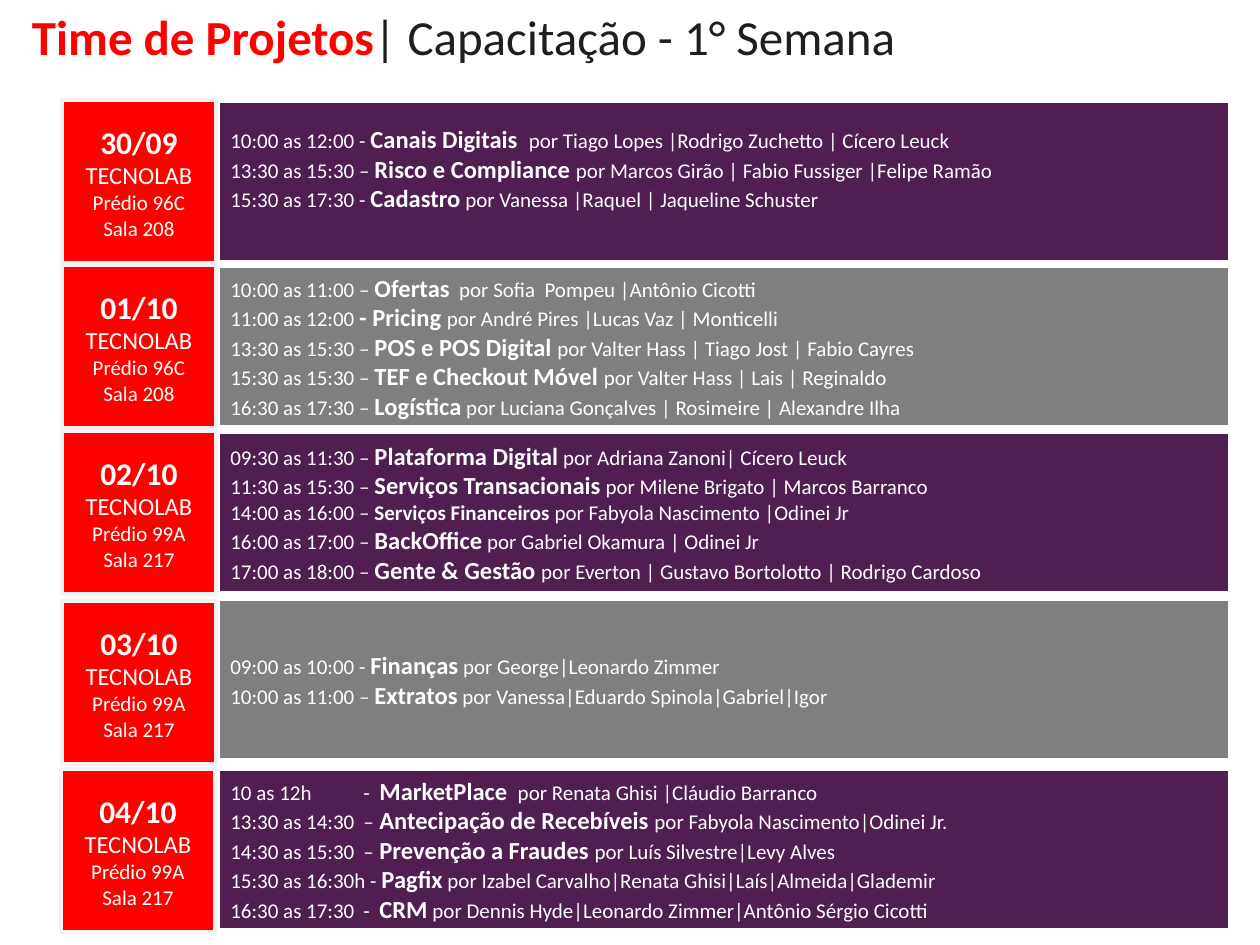
from lxml import etree
from pptx import Presentation
from pptx.dml.color import RGBColor
from pptx.enum import shapes, text
from pptx.oxml.ns import qn
from pptx.util import Emu, Pt

PX = 914400 // 126
FONT = "Calibri"
COLORS = {
    "red": "FF0000",
    "ink": "1E1E1E",
    "white": "FFFFFF",
    "purple": "501E50",
    "gray": "7F7F7F",
    "edge": "F2F2F2",
}
TAB_STOPS = (133, 149)
CARD_W, CARD_H = 154, 163
PANEL_DX = 156
BLANK_LINE = 26

ROOM_A = ("Prédio 96C", "Sala 208")
ROOM_B = ("Prédio 99A", "Sala 217")

DAYS = [
    dict(date="30/09", room=ROOM_A, top=101, card_shift=(0, -1), bottom=BLANK_LINE, talks=[
        ("10:00 as 12:00 - ", "Canais Digitais  ", "por Tiago Lopes |Rodrigo Zuchetto | Cícero Leuck"),
        ("13:30 as 15:30 – ", "Risco e Compliance ", "por Marcos Girão | Fabio Fussiger |Felipe Ramão"),
        ("15:30 as 17:30 - ", "Cadastro", " por Vanessa |Raquel | Jaqueline Schuster"),
    ]),
    dict(date="01/10", room=ROOM_A, top=266, card_shift=(0, -1), bottom=0, talks=[
        ("10:00 as 11:00 – ", "Ofertas", "  por Sofia  Pompeu |Antônio Cicotti"),
        ("11:00 as 12:00 ", "- Pricing ", "por André Pires |Lucas Vaz | Monticelli"),
        ("13:30 as 15:30 – ", "POS e POS Digital ", "por Valter Hass | Tiago Jost | Fabio Cayres"),
        ("15:30 as 15:30 – ", "TEF e Checkout Móvel ", "por Valter Hass | Lais | Reginaldo"),
        ("16:30 as 17:30 – ", "Logística", " por Luciana Gonçalves | Rosimeire | Alexandre Ilha"),
    ]),
    dict(date="02/10", room=ROOM_B, top=432, card_shift=(0, -1), bottom=0, talks=[
        ("09:30 as 11:30 – ", "Plataforma Digital", " por Adriana Zanoni| Cícero Leuck"),
        ("11:30 as 15:30 – ", "Serviços Transacionais", " por Milene Brigato | Marcos Barranco"),
        ("14:00 as 16:00 – ", "Serviços Financeiros ", "por Fabyola Nascimento |Odinei Jr", 12),
        ("16:00 as 17:00 – ", "BackOffice", " por Gabriel Okamura | Odinei Jr"),
        ("17:00 as 18:00 – ", "Gente & Gestão ", "por Everton | Gustavo Bortolotto | Rodrigo Cardoso"),
    ]),
    dict(date="03/10", room=ROOM_B, top=599, card_shift=(0, 2), bottom=0, talks=[
        ("09:00 as 10:00 - ", "Finanças", " por George|Leonardo Zimmer"),
        ("10:00 as 11:00 – ", "Extratos", " por Vanessa|Eduardo Spinola|Gabriel|Igor"),
    ]),
    dict(date="04/10", room=ROOM_B, top=769, card_shift=(-1, 0), bottom=0, talks=[
        ("10 as 12h\t-\t", "MarketPlace ", " por Renata Ghisi |Cláudio Barranco"),
        ("13:30 as 14:30\t–\t", "Antecipação de Recebíveis ", "por Fabyola Nascimento|Odinei Jr."),
        ("14:30 as 15:30\t–\t", "Prevenção a Fraudes ", "por Luís Silvestre|Levy Alves"),
        ("15:30 as 16:30h - ", "Pagfix", " por Izabel Carvalho|Renata Ghisi|Laís|Almeida|Glademir"),
        ("16:30 as 17:30\t-\t", "CRM", " por Dennis Hyde|Leonardo Zimmer|Antônio Sérgio Cicotti"),
    ]),
]


def px(*values):
    return [Emu(v * PX) for v in values]


def set_color(fill, name):
    fill.solid()
    fill.fore_color.rgb = RGBColor.from_string(COLORS[name])


def add_run(p, words, size, color="white", bold=False):
    r = p.add_run()
    r.text = words
    r.font.name = FONT
    r.font.size = Pt(size)
    r.font.bold = bold
    set_color(r.font.fill, color)


def paragraphs(tf, count, align):
    for i in range(count):
        p = tf.add_paragraph() if i else tf.paragraphs[0]
        p.alignment = align
        yield p


def add_block(slide, box, fill, edge):
    sp = slide.shapes.add_shape(shapes.MSO_SHAPE.RECTANGLE, *px(*box))
    sp.shadow.inherit = False
    set_color(sp.fill, fill)
    set_color(sp.line.fill, edge)
    sp.line.width = Pt(2)
    tf = sp.text_frame
    tf.word_wrap = True
    tf.vertical_anchor = text.MSO_ANCHOR.MIDDLE
    return tf


def add_tab_stops(p):
    tabs = etree.SubElement(p._p.get_or_add_pPr(), qn("a:tabLst"))
    for stop in TAB_STOPS:
        etree.SubElement(tabs, qn("a:tab"), pos=str(stop * PX), algn="l")


def draw_title(slide, box):
    tf = slide.shapes.add_textbox(*px(*box)).text_frame
    tf.word_wrap = True
    tf.vertical_anchor = text.MSO_ANCHOR.MIDDLE
    tf.margin_left = px(63)[0]
    p = tf.paragraphs[0]
    add_run(p, "Time de Projetos", 28, "red", True)
    add_run(p, "| Capacitação - 1° Semana", 28, "ink")


def draw_talks(slide, box, fill, talks, bottom):
    tf = add_block(slide, box, fill, "white")
    tf.margin_bottom += px(bottom)[0]
    lines = paragraphs(tf, len(talks), text.PP_ALIGN.LEFT)
    for p, (time, topic, speakers, *size) in zip(lines, talks):
        if "\t" in time:
            add_tab_stops(p)
        add_run(p, time, 12)
        add_run(p, topic, size[0] if size else 14, bold=True)
        add_run(p, speakers, 12)


def draw_date_card(slide, box, date, room):
    tf = add_block(slide, box, "red", "edge")
    lines = [(date, 18), ("TECNOLAB", 14)] + [(line, 12) for line in room]
    for p, (words, size) in zip(paragraphs(tf, len(lines), text.PP_ALIGN.CENTER), lines):
        add_run(p, words, size, bold=words == date)


def draw_day(slide, box, day, fill):
    left, top, width, height = box
    panel = (left + PANEL_DX, top, width - PANEL_DX, height)
    draw_talks(slide, panel, fill, day["talks"], day["bottom"])
    dx, dy = day["card_shift"]
    draw_date_card(slide, (left + dx, top + dy, CARD_W, CARD_H), day["date"], day["room"])


def main():
    prs = Presentation()
    prs.slide_width, prs.slide_height = px(1260, 945)
    slide = prs.slides.add_slide(prs.slide_layouts[6])
    draw_title(slide, (-31, -15, 1260, 101))
    for i, day in enumerate(DAYS):
        draw_day(slide, (62, day["top"], 1168, 161), day, ("purple", "gray")[i % 2])
    prs.save("out.pptx")


if __name__ == "__main__":
    main()
